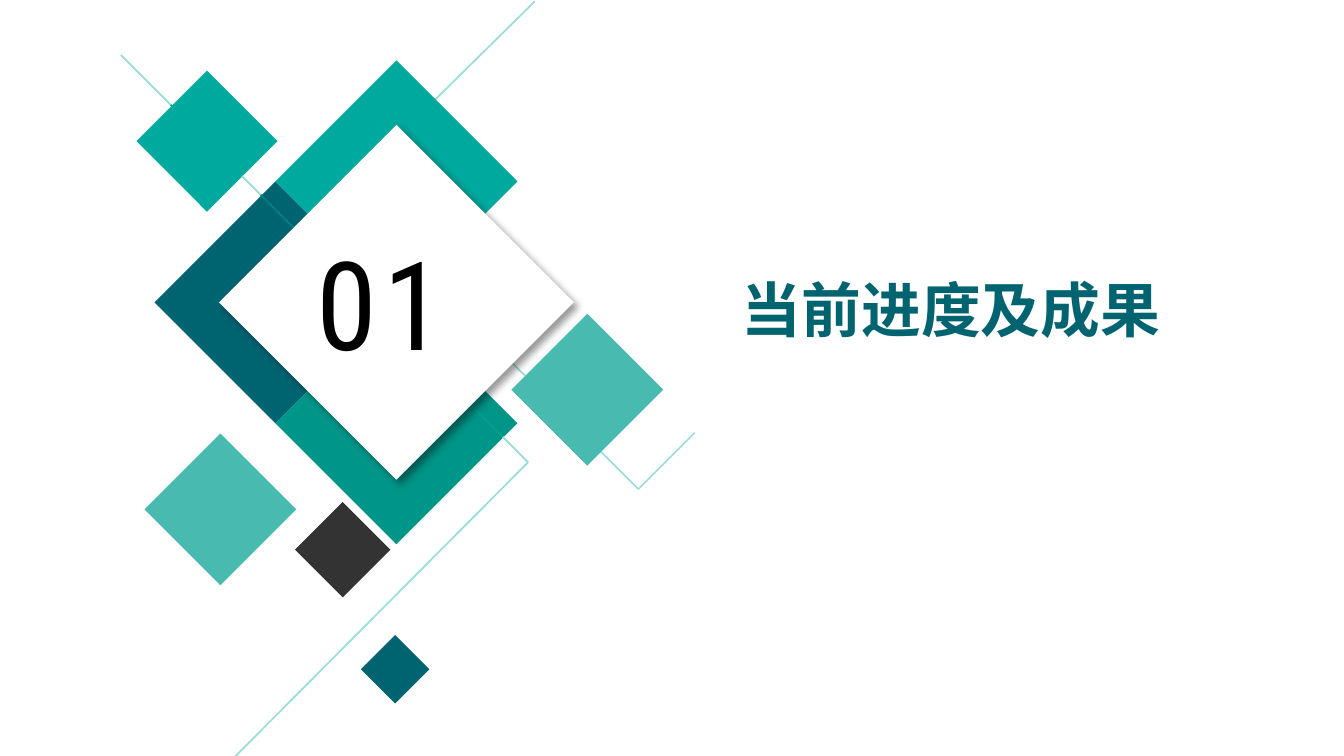
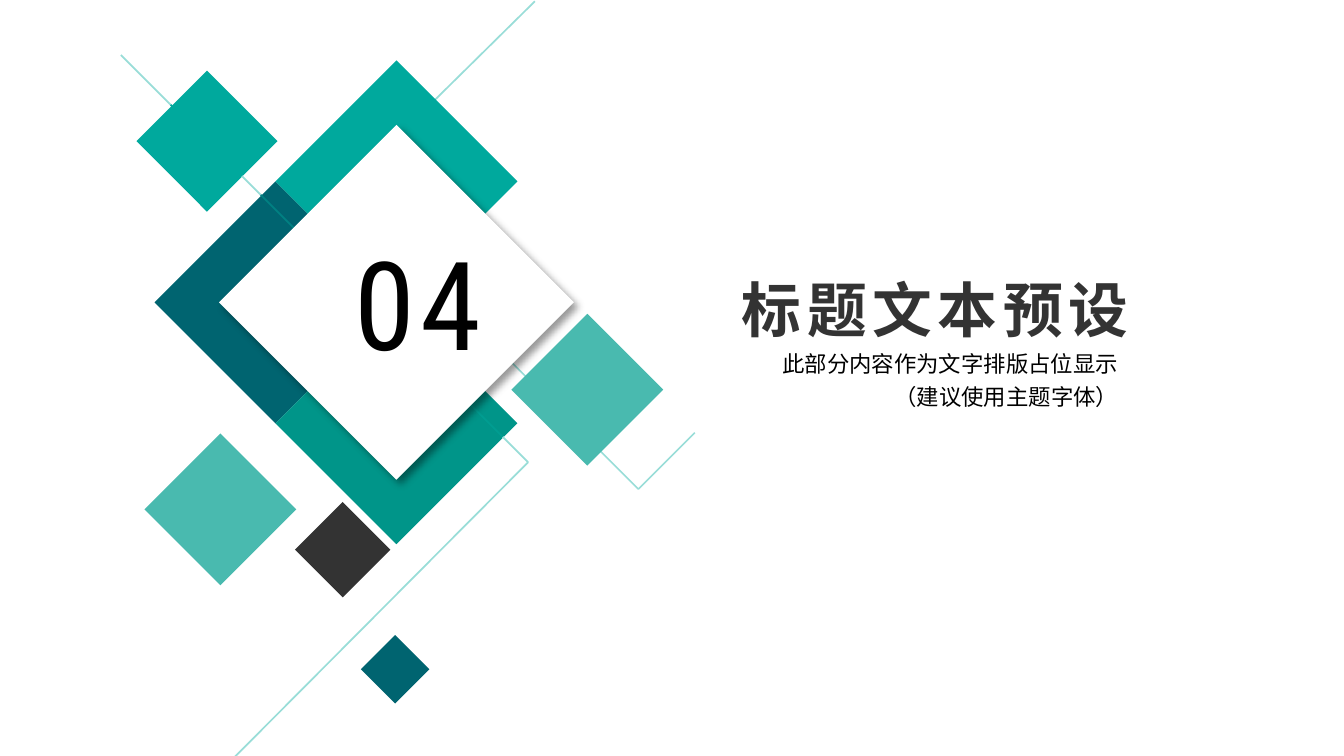
"""Builds two section slides that share a diamond emblem."""
import copy

import lxml.etree
import pptx
import pptx.dml.color
import pptx.enum.shapes
import pptx.enum.text
import pptx.oxml.ns
import pptx.util

Inches = pptx.util.Inches
Align = pptx.enum.text.PP_ALIGN

COLORS = {
    "deep": "006470",
    "teal": "00A99D",
    "sea": "009589",
    "mint": "49BAAF",
    "pale": "99DDD8",
    "shade": "008082",
    "jade": "009D91",
    "dark": "333333",
    "white": "FFFFFF",
    "black": "000000",
}
FONT = "Noto Sans CJK SC"
NUMBER_FONT = "Roboto Condensed"

BACK_DIAMONDS = [
    (2.05, 2.25, 1.8, "deep"),
    (2.95, 1.35, 1.8, "teal"),
    (1.54, 1.05, 1.05, "teal"),
    (2.95, 3.15, 1.8, "sea"),
    (2.55, 4.09, 0.71, "dark"),
]
FRONT_DIAMONDS = [
    (4.37, 2.9, 1.13, "mint"),
    (1.64, 3.79, 1.13, "mint"),
    (2.94, 4.98, 0.51, "deep"),
]
STROKES = [
    ("pale", [[(3.15, 2.04), (4.75, 3.64), (5.17, 3.22)], [(3.98, 0.01), (3.24, 0.74)]]),
    ("teal", [[(3.24, 0.74), (2.55, 1.43), (3.15, 2.04)]]),
    ("pale", [[(3.74, 3.25), (3.93, 3.44), (1.74, 5.64)],
              [(1.8, 1.31), (1.94, 1.45)],
              [(0.9, 0.41), (1.27, 0.78)]]),
    ("shade", [[(1.94, 1.45), (2.84, 2.35)]]),
    ("teal", [[(1.27, 0.78), (1.8, 1.31)]]),
    ("jade", [[(2.84, 2.35), (3.74, 3.25)]]),
]


def rgb(name):
    """Return the named colour."""
    return pptx.dml.color.RGBColor.from_string(COLORS[name])


def add_element(parent, tag, **attributes):
    """Append a DrawingML element and return it."""
    return lxml.etree.SubElement(parent, pptx.oxml.ns.qn(tag), attributes)


def write_text(box, text, size, color="black", font=FONT, bold=False,
               align=Align.LEFT, line_spacing=1.0, tracking=0, wrap=True):
    """Put formatted text in a box; a vertical tab breaks the line."""
    frame = box.text_frame
    frame.word_wrap = wrap
    frame.auto_size = pptx.enum.text.MSO_AUTO_SIZE.SHAPE_TO_FIT_TEXT
    frame.vertical_anchor = pptx.enum.text.MSO_ANCHOR.TOP
    para = frame.paragraphs[0]
    para.text = text
    para.alignment = align
    para.line_spacing = line_spacing
    para.space_before = pptx.util.Pt(0)
    for span in para.runs:
        span.font.size = pptx.util.Pt(size)
        span.font.bold = bold
        span.font.color.rgb = rgb(color)
        span.font.name = font
        properties = span.font._element
        add_element(properties, "a:ea", typeface=font)
        if tracking:
            properties.set("spc", str(tracking * 100))
    for line_break in para._p.findall(pptx.oxml.ns.qn("a:br")):
        line_break.append(copy.deepcopy(para.runs[0].font._element))


def add_diamond(page, left, top, diamond):
    """Draw one diamond given by its centre, size and colour."""
    x, y, size, color = diamond
    shape = page.shapes.add_shape(
        pptx.enum.shapes.MSO_SHAPE.DIAMOND,
        Inches(left + x - size / 2), Inches(top + y - size / 2),
        Inches(size), Inches(size))
    shape.shadow.inherit = False
    shape.fill.solid()
    shape.fill.fore_color.rgb = rgb(color)
    shape.line.fill.background()
    return shape


def add_stroke(page, left, top, color, lines):
    """Draw thin open lines as one outline."""
    lines = [[(Inches(left + x), Inches(top + y)) for x, y in line] for line in lines]
    builder = page.shapes.build_freeform(*lines[0][0])
    for index, line in enumerate(lines):
        if index:
            builder.move_to(*line[0])
        builder.add_line_segments(line[1:], close=False)
    shape = builder.convert_to_shape()
    shape.shadow.inherit = False
    shape.fill.background()
    shape.line.color.rgb = rgb(color)
    shape.line.width = pptx.util.Pt(0.9)


def cast_shadow(shape):
    """Give a shape a soft shadow to the lower right."""
    effects = shape._element.spPr.find(pptx.oxml.ns.qn("a:effectLst"))
    shadow = add_element(effects, "a:outerShdw", blurRad=str(pptx.util.Pt(4)),
                         dist=str(pptx.util.Pt(3)), dir="2700000",
                         algn="tl", rotWithShape="0")
    tint = add_element(shadow, "a:srgbClr", val=COLORS["black"])
    add_element(tint, "a:alpha", val="40000")


def draw_emblem(page, left, top):
    """Draw the diamonds and thin lines from a top left corner."""
    for diamond in BACK_DIAMONDS:
        add_diamond(page, left, top, diamond)
    for color, lines in STROKES:
        add_stroke(page, left, top, color, lines)
    cast_shadow(add_diamond(page, left, top, (2.95, 2.25, 2.64, "white")))
    for diamond in FRONT_DIAMONDS:
        add_diamond(page, left, top, diamond)


def add_text_box(page, area, text, **style):
    """Add a text box over an area and write in it."""
    box = page.shapes.add_textbox(*map(Inches, area))
    write_text(box, text, **style)


def draw_heading(page, area, text, **style):
    """Move the title placeholder to an area and write in it."""
    title = page.shapes.title
    title.left, title.top, title.width, title.height = map(Inches, area)
    write_text(title, text, size=32, bold=True, **style)


def add_section(deck, number, number_area, heading, note=None, **heading_style):
    """Add a section slide with its number, heading and optional note."""
    page = deck.slides.add_slide(deck.slide_layouts.get_by_name("Title Only"))
    page.background.fill.solid()
    page.background.fill.fore_color.rgb = rgb("white")
    draw_heading(page, (5.42, 1.98, 5.08, 0.64), heading, **heading_style)
    if note:
        add_text_box(page, (5.69, 2.52, 2.73, 0.57), note, size=12,
                     align=Align.RIGHT, line_spacing=1.2, wrap=False)
    draw_emblem(page, 0, 0)
    add_text_box(page, number_area, number, size=66, font=NUMBER_FONT, tracking=3)


deck = pptx.Presentation()
deck.slide_width = Inches(10)
deck.slide_height = deck.slide_width * 9 // 16
add_section(deck, "01", (2.26, 1.64, 1.31, 1.21), "当前进度及成果", color="deep")
add_section(deck, "04", (2.54, 1.64, 1.18, 1.21), "标题文本预设",
            note="此部分内容作为文字排版占位显示\v（建议使用主题字体）",
            color="dark", tracking=3)
deck.save("out.pptx")
